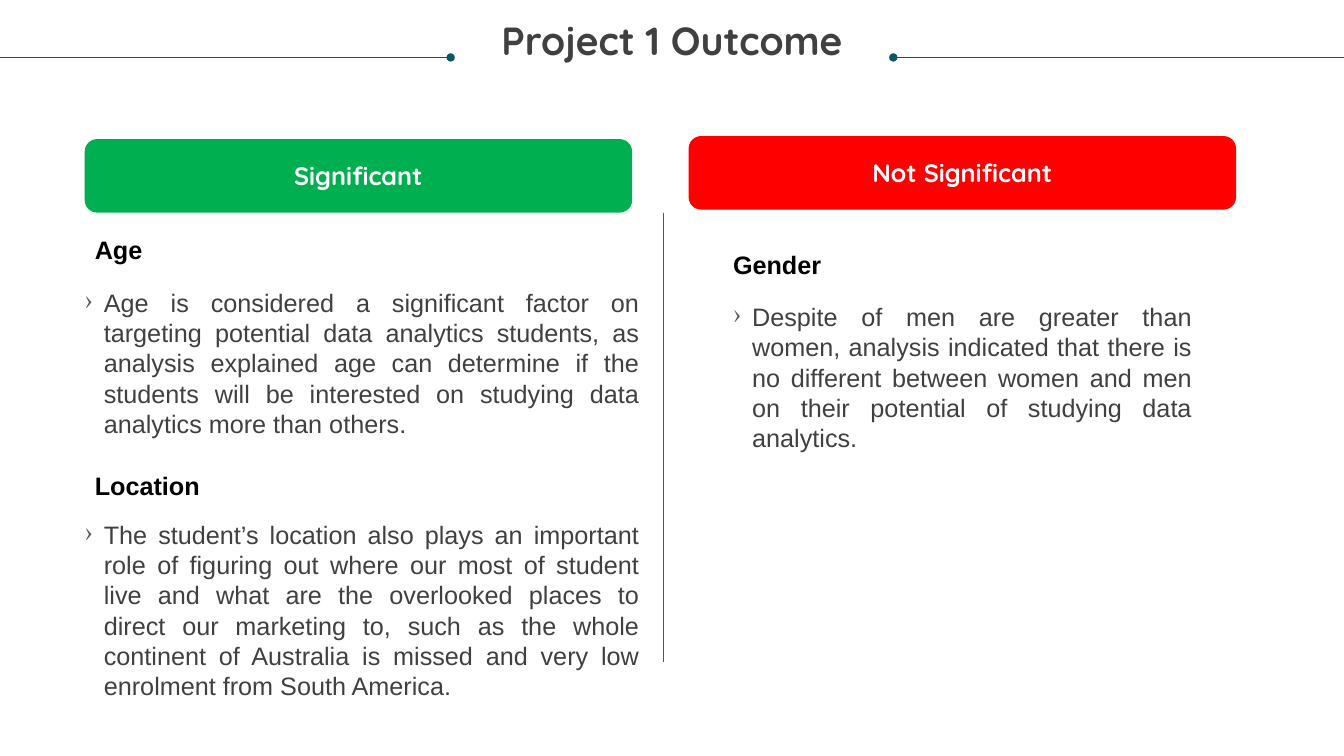
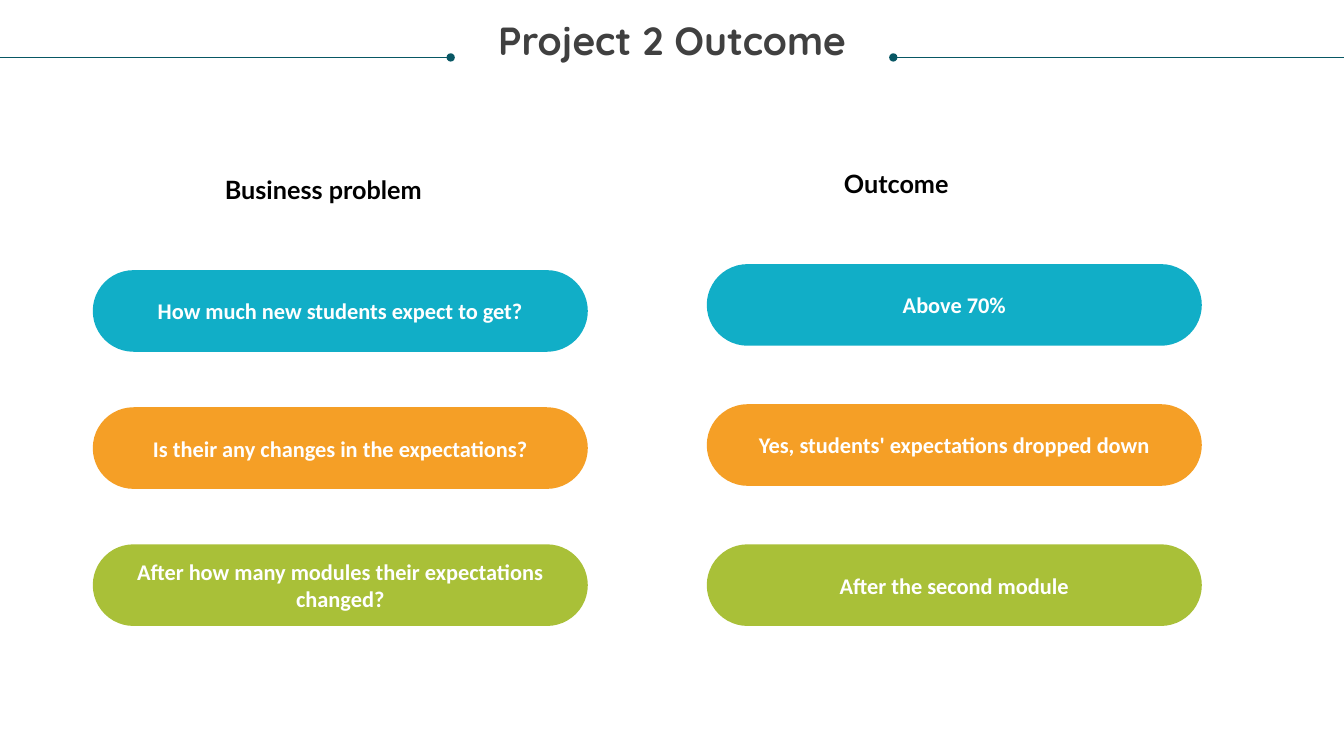
"""Build two slides that sum up the outcomes of two student projects."""
from lxml import etree
from pptx import Presentation
from pptx.dml.color import RGBColor
from pptx.enum.shapes import MSO_CONNECTOR, MSO_SHAPE
from pptx.enum.text import MSO_ANCHOR, PP_ALIGN
from pptx.oxml.ns import qn
from pptx.util import Inches, Pt

LEFT, CENTER, JUSTIFY = PP_ALIGN.LEFT, PP_ALIGN.CENTER, PP_ALIGN.JUSTIFY
MIDDLE = MSO_ANCHOR.MIDDLE
ROUND = MSO_SHAPE.ROUNDED_RECTANGLE
STRAIGHT = MSO_CONNECTOR.STRAIGHT

COLORS = {
    "teal": "085764", "dark": "404040", "gray": "585858",
    "black": "000000", "white": "FFFFFF",
    "yes": "00B050", "no": "FF0000",
    "blue": "11AEC7", "orange": "F59F26", "lime": "A9C038",
}


def put(slide, text, at, size, font, color, bold=True, align=LEFT, fill=None, curve=0.17):
    """Add a text box, or a rounded bar if a fill is named; return its paragraph."""
    place = [Inches(n) for n in at]
    if fill:
        shape = slide.shapes.add_shape(ROUND, *place)
        shape.adjustments[0] = curve
        shape.shadow.inherit = False
        shape.fill.solid()
        shape.fill.fore_color.rgb = RGBColor.from_string(COLORS[fill])
        shape.line.fill.background()
        shape.text_frame.vertical_anchor = MIDDLE
    else:
        shape = slide.shapes.add_textbox(*place)
        frame = shape.text_frame
        frame.margin_left = frame.margin_right = 0
        frame.margin_top = frame.margin_bottom = 0
    shape.text_frame.word_wrap = True
    para = shape.text_frame.paragraphs[0]
    para.text = text
    para.alignment = align
    para.font.size = Pt(size)
    para.font.name = font
    para.font.bold = bold
    para.font.color.rgb = RGBColor.from_string(COLORS[color])
    return para


def rule(slide, start, end, color, dot=None):
    """Add a thin line, with a dot at its headEnd or tailEnd if one is named."""
    line = slide.shapes.add_connector(STRAIGHT, *[Inches(n) for n in start + end])
    line.line.width = Pt(0.5)
    line.line.color.rgb = RGBColor.from_string(COLORS[color])
    if dot:
        etree.SubElement(line.line._get_or_add_ln(), qn("a:" + dot), type="oval")
    etree.SubElement(line._element.spPr, qn("a:effectLst"))


deck = Presentation()
deck.slide_width, deck.slide_height = Inches(13.33), Inches(7.5)
slides = []
for title in ("Project 1 Outcome", "Project 2 Outcome"):
    slide = deck.slides.add_slide(deck.slide_layouts[6])
    rule(slide, (8.86, 0.57), (13.33, 0.57), "teal", "headEnd")
    head = put(slide, title, (0.25, 0.21, 12.83, 0.73), 28, "Quicksand", "dark", align=CENTER)
    head.line_spacing = 0.9
    rule(slide, (0, 0.57), (4.47, 0.57), "teal", "tailEnd")
    slides.append(slide)
first, second = slides

for text, left, top, fill in (
    ("Significant", 0.84, 1.38, "yes"),
    ("Not Significant", 6.83, 1.35, "no"),
):
    put(first, text, (left, top, 5.43, 0.73), 18, "Quicksand", "white", align=CENTER, fill=fill)
rule(first, (6.58, 2.11), (6.58, 6.57), "gray")

factors = (
    ("Age", (0.94, 2.32), (0.84, 2.85, 5.5, 1.51),
     "Age is considered a significant factor on targeting potential data analytics "
     "students, as analysis explained age can determine if the students will be "
     "interested on studying data analytics more than others."),
    ("Location", (0.94, 4.67), (0.84, 5.15, 5.5, 1.82),
     "The student’s location also plays an important role of figuring out where our "
     "most of student live and what are the overlooked places to direct our marketing "
     "to, such as the whole continent of Australia is missed and very low enrolment "
     "from South America."),
    ("Gender", (7.27, 2.47), (7.27, 2.99, 4.55, 1.51),
     "Despite of men are greater than women, analysis indicated that there is no "
     "different between women and men on their potential of studying data analytics."),
)
for name, spot, area, text in factors:
    put(first, name, spot + (4.55, 0.3), 18, "Arial", "black")
    para = put(first, text, area, 18, "Arial", "dark", bold=False, align=JUSTIFY)
    props = para._p.get_or_add_pPr()
    props.set("marL", str(Inches(0.19)))
    props.set("indent", str(-Inches(0.19)))
    tint = etree.Element(qn("a:buClr"))
    etree.SubElement(tint, qn("a:srgbClr"), val=COLORS["gray"])
    mark = etree.Element(qn("a:buChar"), char="›")
    props.insert(0, tint)
    props.insert(1, mark)

columns = (
    ("Business problem", (2.23, 1.73), 0.92, 2.68, 1.36, (
        "How much new students expect to get?",
        "Is their any changes in the expectations?",
        "After how many modules their expectations changed?")),
    ("Outcome", (8.37, 1.67), 7.01, 2.62, 1.39, (
        "Above 70%",
        "Yes, students' expectations dropped down",
        "After the second module")),
)
for name, spot, left, top, step, items in columns:
    put(second, name, spot + (2.59, 0.3), 18, "Lato", "black")
    for row, (text, fill) in enumerate(zip(items, ("blue", "orange", "lime"))):
        put(second, text, (left, top + row * step, 4.91, 0.81), 16, "Calibri", "white",
            align=CENTER, fill=fill, curve=0.5)

deck.save("out.pptx")
